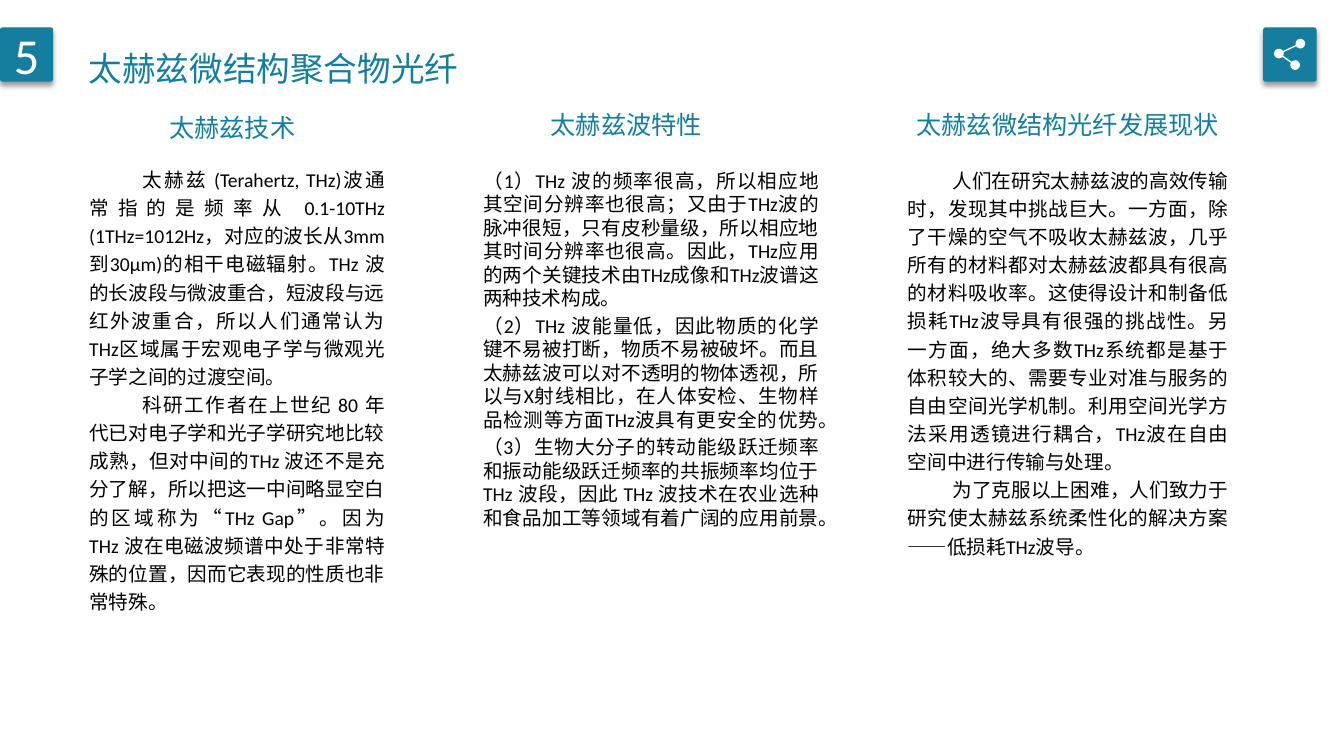
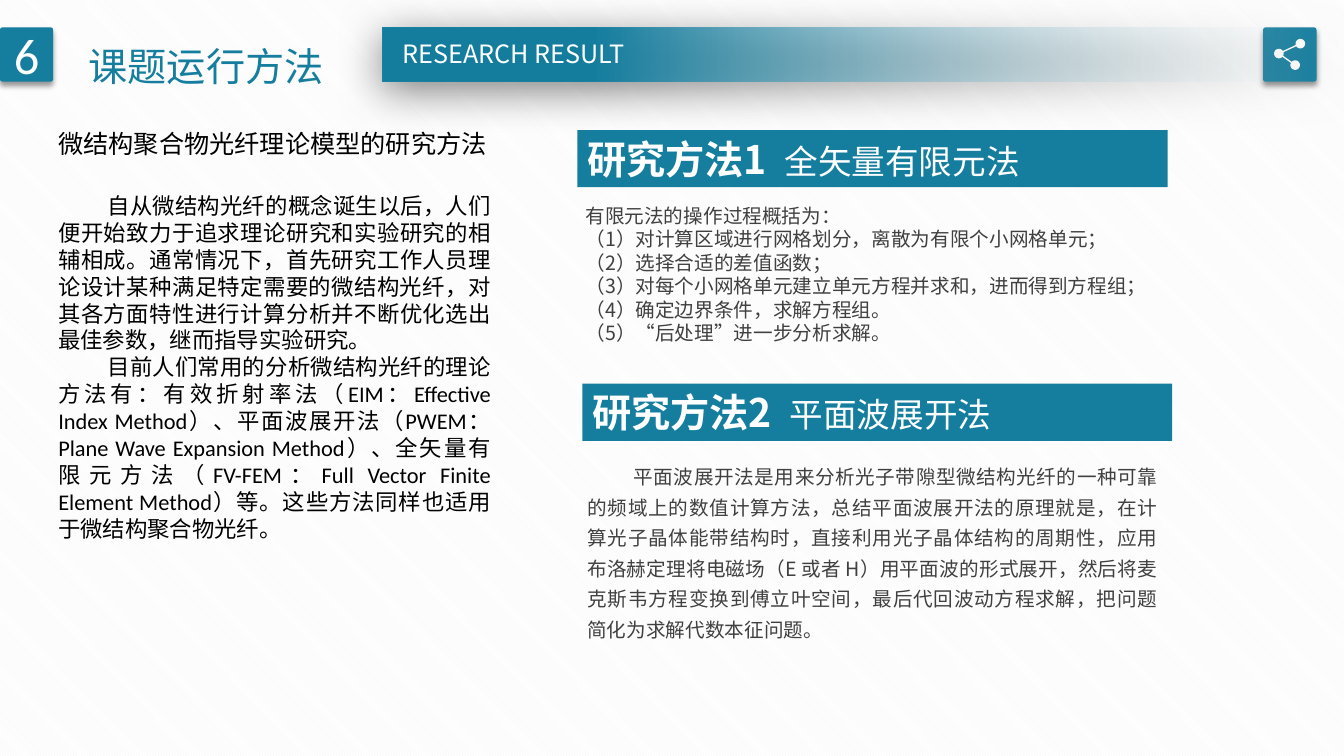
"""Build two slides on terahertz polymer fibres and their research methods."""
from math import atan2, cos, pi, radians, sin

from lxml import etree
from pptx import Presentation
from pptx.dml.color import RGBColor
from pptx.enum.dml import MSO_PATTERN
from pptx.enum.lang import MSO_LANGUAGE_ID
from pptx.enum.shapes import MSO_SHAPE
from pptx.enum.text import MSO_ANCHOR, MSO_AUTO_SIZE, PP_ALIGN
from pptx.oxml.ns import qn
from pptx.util import Cm, Pt

LEFT, CENTER, JUSTIFY = PP_ALIGN.LEFT, PP_ALIGN.CENTER, PP_ALIGN.JUSTIFY
MIDDLE, TOP = MSO_ANCHOR.MIDDLE, MSO_ANCHOR.TOP
NO_FIT = MSO_AUTO_SIZE.NONE
RECT, ROUND = MSO_SHAPE.RECTANGLE, MSO_SHAPE.ROUNDED_RECTANGLE
DIAGONAL = MSO_PATTERN.DARK_DOWNWARD_DIAGONAL
CHINESE = MSO_LANGUAGE_ID.SIMPLIFIED_CHINESE

COLORS = {"teal": "157E9F", "white": "FFFFFF", "black": "000000",
          "grey": "404040", "stripe": "F2F2F2", "pale": "F7FAFD"}
SANS, LATIN = "Noto Sans CJK SC", "Calibri"

COLUMNS = [
    {"heading": "太赫兹技术", "heading_box": (4.02, 2.55, 4.75, 1.4),
     "box": (2, 3.99, 7.95, 13.06), "indent": 1.35, "line": 20.1,
     "text": [
         "太赫兹 (Terahertz, THz)波通常指的是频率从 0.1-10THz (1THz=1012Hz，对应的波长从3mm到30μm)的相干电磁辐射。THz 波的长波段与微波重合，短波段与远红外波重合，所以人们通常认为THz区域属于宏观电子学与微观光子学之间的过渡空间。",
         "科研工作者在上世纪 80 年代已对电子学和光子学研究地比较成熟，但对中间的THz 波还不是充分了解，所以把这一中间略显空白的区域称为“THz Gap”。因为 THz 波在电磁波频谱中处于非常特殊的位置，因而它表现的性质也非常特殊。"]},
    {"heading": "太赫兹波特性", "heading_box": (13.63, 2.48, 5.92, 1.4),
     "box": (11.92, 4.12, 8.97, 12.24), "line": 16.8, "before": 2.8, "in_body": True,
     "text": [
         "（1）THz 波的频率很高，所以相应地其空间分辨率也很高；又由于THz波的脉冲很短，只有皮秒量级，所以相应地其时间分辨率也很高。因此，THz应用的两个关键技术由THz成像和THz波谱这两种技术构成。",
         "（2）THz 波能量低，因此物质的化学键不易被打断，物质不易被破坏。而且太赫兹波可以对不透明的物体透视，所以与X射线相比，在人体安检、生物样品检测等方面THz波具有更安全的优势。",
         "（3）生物大分子的转动能级跃迁频率和振动能级跃迁频率的共振频率均位于THz 波段，因此 THz 波技术在农业选种和食品加工等领域有着广阔的应用前景。"]},
    {"heading": "太赫兹微结构光纤发展现状", "heading_box": (22.85, 2.47, 8.4, 1.4),
     "box": (22.63, 4.01, 8.58, 12.8), "indent": 1.12, "line": 20.1,
     "text": [
         "人们在研究太赫兹波的高效传输时，发现其中挑战巨大。一方面，除了干燥的空气不吸收太赫兹波，几乎所有的材料都对太赫兹波都具有很高的材料吸收率。这使得设计和制备低损耗THz波导具有很强的挑战性。另一方面，绝大多数THz系统都是基于体积较大的、需要专业对准与服务的自由空间光学机制。利用空间光学方法采用透镜进行耦合，THz波在自由空间中进行传输与处理。",
         "为了克服以上困难，人们致力于研究使太赫兹系统柔性化的解决方案——低损耗THz波导。"]},
]

THEORY_HEADING = "微结构聚合物光纤理论模型的研究方法"
THEORY = [
    "自从微结构光纤的概念诞生以后，人们便开始致力于追求理论研究和实验研究的相辅相成。通常情况下，首先研究工作人员理论设计某种满足特定需要的微结构光纤，对其各方面特性进行计算分析并不断优化选出最佳参数，继而指导实验研究。",
    "目前人们常用的分析微结构光纤的理论方法有：有效折射率法（EIM：Effective Index Method）、平面波展开法（PWEM：Plane Wave Expansion Method）、全矢量有限元方法（FV-FEM：Full Vector Finite Element Method）等。这些方法同样也适用于微结构聚合物光纤。",
]
METHODS = [("研究方法1", "全矢量有限元法", (14.55, 3.28, 14.88, 1.44)),
           ("研究方法2", "平面波展开法", (14.68, 9.67, 14.86, 1.44))]
STEPS = [
    "有限元法的操作过程概括为：",
    "（1）对计算区域进行网格划分，离散为有限个小网格单元；",
    "（2）选择合适的差值函数；",
    "（3）对每个小网格单元建立单元方程并求和，进而得到方程组；",
    "（4）确定边界条件，求解方程组。",
    "（5）“后处理”进一步分析求解。",
]
PLANE_WAVE = ["平面波展开法是用来分析光子带隙型微结构光纤的一种可靠的频域上的数值计算方法，总结平面波展开法的原理就是，在计算光子晶体能带结构时，直接利用光子晶体结构的周期性，应用布洛赫定理将电磁场（E 或者 H）用平面波的形式展开，然后将麦克斯韦方程变换到傅立叶空间，最后代回波动方程求解，把问题简化为求解代数本征问题。"]

SHARE_HUB = (32.23, 1.35)
SHARE_ENDS = [(32.77, 1.1), (32.64, 1.64)]
NODE_RADIUS = 0.12
LINK_HALF_ANGLE = radians(8)
METHOD_GAP = 6.3


def cm(box):
    return [Cm(v) for v in box]


def rgb(name):
    return RGBColor.from_string(COLORS[name])


def style_run(r, size, color, font=LATIN, bold=False):
    r.font.size, r.font.bold, r.font.name = Pt(size), bold, font
    r.font.color.rgb = rgb(color)
    r.font.language_id = CHINESE
    ea = etree.Element(qn("a:ea"), typeface=SANS)
    r.font._element.find(qn("a:latin")).addnext(ea)


def style_paragraph(p, align=LEFT, line=None, before=0, after=0, indent=0):
    p.alignment = align
    p.space_before, p.space_after = Pt(before), Pt(after)
    if line:
        p.line_spacing = Pt(line)
    pPr = p._p.get_or_add_pPr()
    pPr.set("marL", "0")
    pPr.set("indent", str(Cm(indent)))
    etree.SubElement(pPr, qn("a:buNone"))


def write(tf, lines, size, color, font=LATIN, bold=False, anchor=TOP, **layout):
    tf.text = "\n".join(lines)
    tf.word_wrap, tf.auto_size, tf.vertical_anchor = True, NO_FIT, anchor
    for p in tf.paragraphs:
        style_paragraph(p, **layout)
        for r in p.runs:
            style_run(r, size, color, font, bold)


def place(sp, box):
    sp.left, sp.top, sp.width, sp.height = cm(box)
    return sp.text_frame


def add_text(s, box, lines, size, color, **look):
    tf = s.shapes.add_textbox(*cm(box)).text_frame
    write(tf, lines, size, color, **look)
    return tf


def paint(sp, color):
    sp.shadow.inherit = False
    sp.fill.solid()
    sp.fill.fore_color.rgb = rgb(color)
    sp.line.fill.background()
    return sp


def add_block(s, kind, box):
    return paint(s.shapes.add_shape(kind, *cm(box)), "teal")


def add_color(parent, name, alpha):
    clr = etree.SubElement(parent, qn("a:srgbClr"), val=COLORS[name])
    etree.SubElement(clr, qn("a:alpha"), val=str(alpha * 1000))


def add_shadow(sp, alpha, blur, dist, angle):
    effects = sp._element.spPr.find(qn("a:effectLst"))
    shadow = etree.SubElement(effects, qn("a:outerShdw"), blurRad=str(Pt(blur)),
                              dist=str(Pt(dist)), dir=str(angle * 60000),
                              algn="t", rotWithShape="0")
    add_color(shadow, "black", alpha)


def add_corner_tile(s, box):
    sp = add_block(s, ROUND, box)
    sp.adjustments[0] = 0.05
    add_shadow(sp, 40, 4, 3, 90)
    return sp


def arc(center, start, end, steps=24):
    angles = [start + (end - start) * i / steps for i in range(steps + 1)]
    return [(Cm(center[0] + NODE_RADIUS * cos(a)), Cm(center[1] + NODE_RADIUS * sin(a)))
            for a in angles]


def add_share_icon(s):
    add_corner_tile(s, (31.83, 0.69, 1.35, 1.37))
    gap = LINK_HALF_ANGLE
    angles = [atan2(y - SHARE_HUB[1], x - SHARE_HUB[0]) for x, y in SHARE_ENDS]
    following = angles[1:] + [angles[0] + 2 * pi]
    outline = []
    for end, angle, next_angle in zip(SHARE_ENDS, angles, following):
        outline += arc(end, angle - pi + gap, angle + pi - gap)
        outline += arc(SHARE_HUB, angle + gap, next_angle - gap)
    builder = s.shapes.build_freeform(*outline[0])
    builder.add_line_segments(outline[1:], close=True)
    paint(builder.convert_to_shape(), "white")


def add_base_slide(prs, number, title, title_size, title_box):
    s = prs.slides.add_slide(prs.slide_layouts[1])
    write(place(s.shapes.title, title_box), [title],
          title_size, "teal", font=SANS, anchor=MIDDLE)
    tile = add_corner_tile(s, (0, 0.69, 1.34, 1.37))
    write(tile.text_frame, [number], 36, "white", anchor=MIDDLE, align=CENTER)
    add_share_icon(s)
    return s


def add_fading_band(s):
    band = add_block(s, RECT, (9.65, 0.7, 24.21, 1.35))
    band.fill.gradient()
    band.fill.gradient_angle = 0
    stops = band._element.spPr.find(".//" + qn("a:gsLst"))
    stops.clear()
    for pos, color, alpha in [(0, "teal", 100), (22, "teal", 100), (100, "pale", 0)]:
        add_color(etree.SubElement(stops, qn("a:gs"), pos=str(pos * 1000)), color, alpha)
    add_shadow(band, 50, 31, 6, 97)
    tf = band.text_frame
    write(tf, ["RESEARCH RESULT"], 18, "white", font=SANS, anchor=MIDDLE)
    tf.margin_left, tf.margin_bottom = Cm(0.5), Cm(0.17)


def add_method_band(s, label, name, box):
    tf = add_block(s, RECT, box).text_frame
    write(tf, [label], 28, "white", font=SANS, bold=True, anchor=MIDDLE)
    p = tf.paragraphs[0]
    gap, r = p.add_run(), p.add_run()
    gap.text, r.text = " ", name
    style_run(gap, 28, "white", SANS, True)
    gap.font._element.set("spc", str(round(METHOD_GAP * 100)))
    style_run(r, 24, "white")


def build_fibre_slide(prs):
    s = add_base_slide(prs, "5", "太赫兹微结构聚合物光纤", 24, (1.98, 0.87, 10.2, 1.7))
    for col in COLUMNS:
        add_text(s, col["heading_box"], [col["heading"]], 18, "teal", font=SANS, line=26)
        sp = s.placeholders[1] if col.get("in_body") else s.shapes.add_textbox(0, 0, 0, 0)
        write(place(sp, col["box"]), col["text"], 14, "black", align=JUSTIFY,
              line=col["line"], before=col.get("before", 0), indent=col.get("indent", 0))


def build_method_slide(prs):
    s = add_base_slide(prs, "6", "课题运行方法", 28, (1.98, 0.8, 7.4, 1.7))
    fill = s.background.fill
    fill.patterned()
    fill.pattern = DIAGONAL
    fill.fore_color.rgb, fill.back_color.rgb = rgb("stripe"), rgb("white")
    add_fading_band(s)

    tf = add_text(s, (1.22, 3.1, 11.4, 13.08), [THEORY_HEADING] + THEORY, 16, "black",
                  align=JUSTIFY, line=19.25, indent=1.25)
    heading = tf.paragraphs[0]
    heading._p.pPr.set("indent", "0")
    heading.alignment, heading.line_spacing, heading.space_after = LEFT, Pt(21.6), Pt(24)
    heading.runs[0].font.size = Pt(18)

    for method in METHODS:
        add_method_band(s, *method)
    write(place(s.placeholders[1], (14.5, 5, 14.76, 3.84)), STEPS, 14, "grey",
          font=SANS, line=16.8)
    add_text(s, (14.55, 11.42, 14.86, 5.72), PLANE_WAVE, 14, "grey", font=SANS,
             align=JUSTIFY, line=21.8, indent=1.17)


def main():
    prs = Presentation()
    prs.slide_width, prs.slide_height = Cm(33.87), Cm(19.05)
    build_fibre_slide(prs)
    build_method_slide(prs)
    prs.save("out.pptx")


if __name__ == "__main__":
    main()
